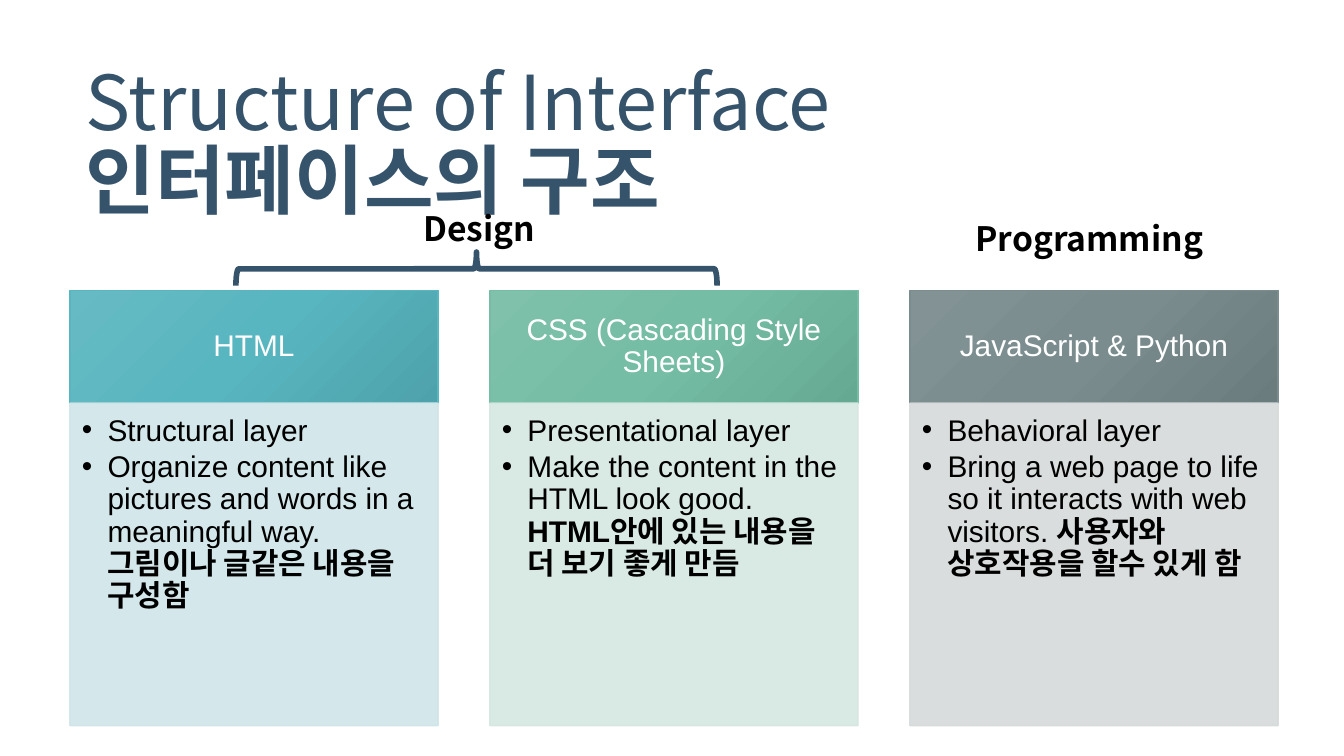
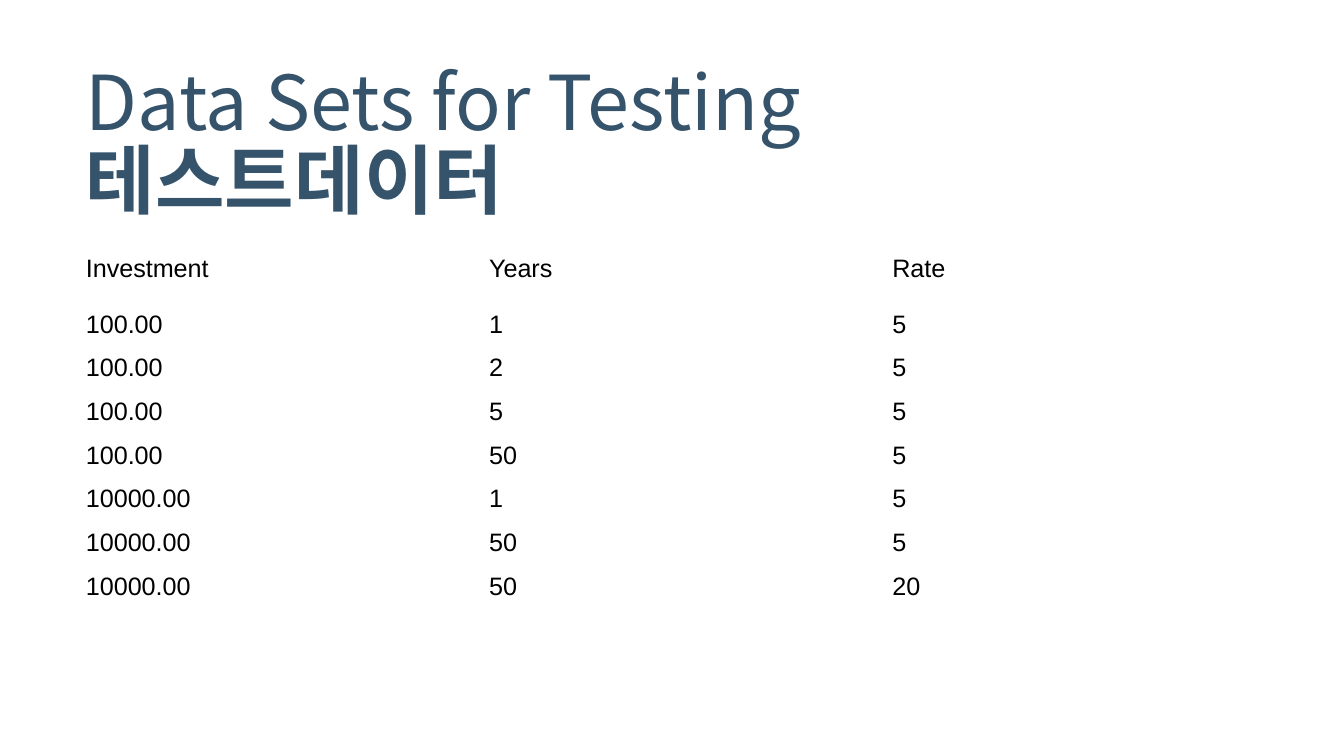
from copy import deepcopy

from lxml.etree import SubElement
from pptx import Presentation
from pptx.dml.color import RGBColor
from pptx.enum.shapes import MSO_SHAPE as Preset
from pptx.enum.text import MSO_ANCHOR as Anchor, PP_ALIGN as Align
from pptx.oxml.ns import qn
from pptx.util import Inches, Pt

# Shared style
SLIDE_WIDTH = 10
NAVY, BLACK, WHITE = "36536C", "000000", "FFFFFF"
SANS, KOREAN = "Arial", "Noto Sans CJK KR"
TEXT_INSETS = (0.1, 0.05, 0.1, 0.05)
PLAIN_TABLE_STYLE = "{2D5ABB26-0587-4C30-8999-92F81FD0307C}"

# Column grid of the layers slide
COLUMN_LEFT, COLUMN_RIGHT, COLUMN_WIDTH = 0.52, 9.51, 2.74
HEADER_TOP, HEADER_HEIGHT, BODY_HEIGHT = 2.16, 0.84, 2.4

# Heading, gradient colours, body colour, first bullet, second bullet, its Korean
LAYERS = [
    ("HTML", ("66BAC3", "58B6C0", "4EA2AB"), "D0E5E8", "Structural layer ",
     "Organize content like pictures and words in a meaningful way. ",
     "그림이나 글같은 내용을 구성함"),
    ("CSS (Cascading Style Sheets)", ("7FC1AB", "75BDA5", "66A993"), "D5E7E1",
     "Presentational layer", "Make the content in the HTML look good. ",
     "HTML안에 있는 내용을 더 보기 좋게 만듬 "),
    ("JavaScript & Python", ("839395", "7A8C8E", "6B7C7E"), "D6DADA",
     "Behavioral layer",
     "Bring a web page to life so it interacts with web visitors. ",
     "사용자와 상호작용을 할수 있게 함"),
]

TEST_DATA = [
    ("Investment", "Years", "Rate"),
    ("100.00", "1", "5"),
    ("100.00", "2", "5"),
    ("100.00", "5", "5"),
    ("100.00", "50", "5"),
    ("10000.00", "1", "5"),
    ("10000.00", "50", "5"),
    ("10000.00", "50", "20"),
]
# Minimum heights; the text makes the lower rows taller
ROW_HEIGHTS = [0.41, 0.19, 0.23, 0.13, 0.19, 0.19, 0.23, 0.13]


def color(value):
    return RGBColor.from_string(value)


def add_run(paragraph, text, size, font, text_color, bold=False):
    run = paragraph.add_run()
    run.text = text
    run.font.size = Pt(size)
    run.font.name = font
    run.font.bold = bold
    run.font.color.rgb = color(text_color)
    SubElement(run.font._element, qn("a:ea"), typeface=KOREAN)


def set_frame(frame, insets, anchor):
    frame.word_wrap = True
    frame.vertical_anchor = anchor
    (frame.margin_left, frame.margin_top,
     frame.margin_right, frame.margin_bottom) = map(Inches, insets)


def add_text_box(slide, left, top, width, height, anchor=Anchor.TOP):
    box = slide.shapes.add_textbox(*map(Inches, (left, top, width, height)))
    set_frame(box.text_frame, TEXT_INSETS, anchor)
    return box.text_frame.paragraphs[0]


def add_title(slide, english, korean):
    paragraph = add_text_box(slide, 0.54, 0.41, 8.84, 1.36, Anchor.MIDDLE)
    paragraph.line_spacing = 0.85
    add_run(paragraph, english, 40.5, KOREAN, NAVY)
    paragraph.add_line_break()
    add_run(paragraph, korean, 40.5, KOREAN, NAVY, bold=True)


def add_label(slide, text, left, top, width):
    paragraph = add_text_box(slide, left, top, width, 0.4)
    paragraph.alignment = Align.CENTER
    add_run(paragraph, text, 18, KOREAN, BLACK, bold=True)


def add_preset(slide, preset, left, top, width, height, line_color, line_width):
    shape = slide.shapes.add_shape(
        preset, *map(Inches, (left, top, width, height)))
    shape.shadow.inherit = False
    shape.line.color.rgb = color(line_color)
    shape.line.width = Pt(line_width)
    return shape


def fill_gradient(shape, colors):
    shape.fill.gradient()
    shape.fill.gradient_angle = 315
    stop_list = shape.element.spPr.find(".//" + qn("a:gsLst"))
    stop_list.append(deepcopy(stop_list[0]))
    for index, (stop, value) in enumerate(zip(shape.fill.gradient_stops, colors)):
        stop.position = index / (len(colors) - 1)
        stop.color.rgb = color(value)


def set_opacity(shape, percent):
    """Apply the opacity to the fill and the line."""
    for element in shape.element.spPr.findall(".//" + qn("a:srgbClr")):
        SubElement(element, qn("a:alpha"), val=str(percent * 1000))


def set_bullet(paragraph):
    properties = paragraph._p.get_or_add_pPr()
    indent = Inches(0.19)
    properties.set("marL", str(indent))
    properties.set("indent", str(-indent))
    bullet_color = SubElement(properties, qn("a:buClr"))
    SubElement(bullet_color, qn("a:srgbClr"), val=BLACK)
    SubElement(properties, qn("a:buFont"), typeface=SANS)
    SubElement(properties, qn("a:buChar"), char="•")


def add_header(slide, left, heading, colors):
    header = add_preset(slide, Preset.RECTANGLE, left, HEADER_TOP,
                        COLUMN_WIDTH, HEADER_HEIGHT, colors[1], 0.75)
    fill_gradient(header, colors)
    set_frame(header.text_frame, (0.12, 0.07, 0.12, 0.07), Anchor.MIDDLE)
    paragraph = header.text_frame.paragraphs[0]
    paragraph.alignment = Align.CENTER
    paragraph.line_spacing = 0.9
    add_run(paragraph, heading, 16, SANS, WHITE)


def add_body(slide, left, body_color, first, second, korean):
    body = add_preset(slide, Preset.RECTANGLE, left, HEADER_TOP + HEADER_HEIGHT,
                      COLUMN_WIDTH, BODY_HEIGHT, body_color, 0.75)
    body.fill.solid()
    body.fill.fore_color.rgb = color(body_color)
    set_opacity(body, 90)
    frame = body.text_frame
    set_frame(frame, (0.09, 0.09, 0.12, 0.14), Anchor.TOP)
    bullets = [frame.paragraphs[0], frame.add_paragraph()]
    for paragraph, text, space in zip(bullets, (first, second), (0, 2.4)):
        paragraph.alignment = Align.LEFT
        paragraph.level = 1
        paragraph.line_spacing = 0.9
        paragraph.space_before = Pt(space)
        set_bullet(paragraph)
        add_run(paragraph, text, 16, SANS, BLACK)
    add_run(bullets[1], korean, 16, SANS, BLACK, bold=True)


def add_brace(slide):
    brace = add_preset(slide, Preset.LEFT_BRACE, 3.42, 0.21, 0.25, 3.58, NAVY, 3)
    brace.fill.background()
    brace.adjustments[0] = 0.083
    brace.adjustments[1] = 0.5
    brace.rotation = 90


def add_data_table(slide, rows):
    frame = slide.shapes.add_table(
        len(rows), len(rows[0]), Inches(0.5), Inches(1.85),
        Inches(9), Inches(sum(ROW_HEIGHTS)))
    table = frame.table
    table.first_row = False
    table.horz_banding = False
    frame.element.find(".//" + qn("a:tableStyleId")).text = PLAIN_TABLE_STYLE
    for column in table.columns:
        column.width = Inches(3)
    for row, height, values in zip(table.rows, ROW_HEIGHTS, rows):
        row.height = Inches(height)
        for cell, value in zip(row.cells, values):
            cell.fill.background()
            cell.margin_left = cell.margin_right = Inches(0.14)
            cell.margin_top = cell.margin_bottom = Inches(0.05)
            add_run(cell.text_frame.paragraphs[0], value, 13.5, SANS, BLACK)


def build_layers_slide(slide):
    add_title(slide, "Structure of Interface ", "인터페이스의 구조")
    pitch = (COLUMN_RIGHT - COLUMN_WIDTH - COLUMN_LEFT) / (len(LAYERS) - 1)
    for index, (heading, colors, *body) in enumerate(LAYERS):
        left = COLUMN_LEFT + index * pitch
        add_header(slide, left, heading, colors)
        add_body(slide, left, *body)
    add_label(slide, "Design", 1.61, 1.5, 3.91)
    add_brace(slide)
    add_label(slide, "Programming", 6.76, 1.57, 2.69)


def build_data_slide(slide):
    add_title(slide, "Data Sets for Testing ", "테스트데이터")
    add_data_table(slide, TEST_DATA)


def main():
    presentation = Presentation()
    presentation.slide_width = Inches(SLIDE_WIDTH)
    presentation.slide_height = Inches(SLIDE_WIDTH * 9 / 16)
    blank = presentation.slide_layouts[6]
    for build in (build_layers_slide, build_data_slide):
        build(presentation.slides.add_slide(blank))
    presentation.save("out.pptx")


main()
